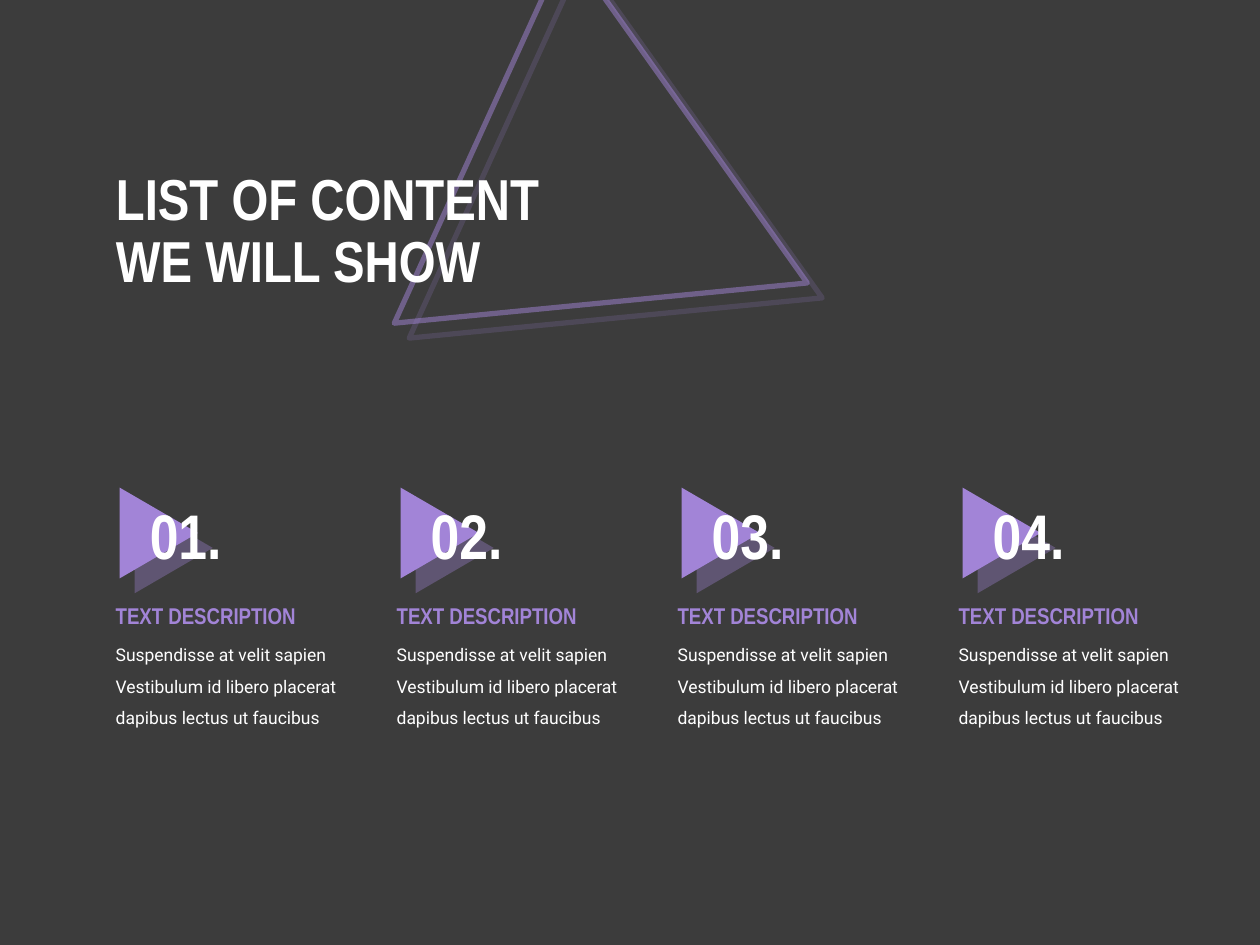
from lxml import etree
from pptx import Presentation
from pptx.dml.color import RGBColor
from pptx.enum.shapes import MSO_SHAPE
from pptx.enum.text import MSO_ANCHOR, MSO_AUTO_SIZE, PP_ALIGN
from pptx.oxml.ns import qn
from pptx.util import Inches, Pt

TRIANGLE = MSO_SHAPE.ISOSCELES_TRIANGLE
LEFT = PP_ALIGN.LEFT
MIDDLE, TOP = MSO_ANCHOR.MIDDLE, MSO_ANCHOR.TOP
GROW, NO_FIT = MSO_AUTO_SIZE.SHAPE_TO_FIT_TEXT, MSO_AUTO_SIZE.NONE

# Content
TITLE_LINES = ["LIST OF CONTENT", "WE WILL SHOW"]
DESCRIPTION = "Suspendisse at velit sapien Vestibulum id libero placerat dapibus lectus ut faucibus"
ITEMS = [
    ("01.", "TEXT DESCRIPTION", DESCRIPTION),
    ("02.", "TEXT DESCRIPTION", DESCRIPTION),
    ("03.", "TEXT DESCRIPTION", DESCRIPTION),
    ("04.", "TEXT DESCRIPTION", DESCRIPTION),
]

# Theme: colours and (font, size, bold, colour) for each kind of text
THEME = {
    "background": "3C3C3C",
    "accent": "A284D7",
    "title": ("Arial Narrow", 33, True, "FFFFFF"),
    "number": ("Arial Narrow", 36, True, "FFFFFF"),
    "heading": ("Arial Narrow", 13, True, "A284D7"),
    "body": ("Roboto", 10, False, "FFFFFF"),
}

# Layout
COLUMN_LEFT, COLUMN_PITCH = 0.82, 2.23


def color(name):
    return RGBColor.from_string(name)


def add_span(para, text, style):
    font_name, size, bold, font_color = THEME[style]
    span = para.add_run()
    span.text = text
    span.font.name = font_name
    span.font.size = Pt(size)
    span.font.bold = bold
    span.font.color.rgb = color(font_color)


def set_alpha(color_element, percent):
    etree.SubElement(color_element, qn("a:alpha"), val=str(percent * 1000))


def add_triangle(page, left, top, width, height, rotation):
    shape = page.shapes.add_shape(
        TRIANGLE, Inches(left), Inches(top), Inches(width), Inches(height))
    shape.rotation = rotation
    return shape


def add_offset_shadow(shape):
    shape.shadow.inherit = False
    effects = shape._element.spPr.find(qn("a:effectLst"))
    shadow = etree.SubElement(
        effects, qn("a:outerShdw"), blurRad="0", dist=str(Pt(12.1)),
        dir=str(45 * 60000), algn="tl", rotWithShape="0")
    set_alpha(etree.SubElement(shadow, qn("a:srgbClr"), val=THEME["accent"]), 35)


def add_text(page, left, top, width, height, text, style, spacing=1.0):
    box = page.shapes.add_textbox(
        Inches(left), Inches(top), Inches(width), Inches(height))
    frame = box.text_frame
    frame.word_wrap = True
    frame.auto_size = GROW
    frame.vertical_anchor = TOP
    para = frame.paragraphs[0]
    para.line_spacing = spacing
    add_span(para, text, style)


def add_outline_triangle(page):
    shape = add_triangle(page, 3.46, 0.23, 3.3, 2.85, 114.5)
    shape.fill.background()
    shape.line.width = Pt(3)
    shape.line.color.rgb = color(THEME["accent"])
    set_alpha(shape.line._ln.find(".//" + qn("a:srgbClr")), 50)
    add_offset_shadow(shape)


def add_title(page):
    title = page.shapes.title
    title.left, title.top = Inches(COLUMN_LEFT), Inches(1.06)
    title.width, title.height = Inches(4.22), Inches(1.58)
    frame = title.text_frame
    frame.word_wrap = True
    frame.auto_size = NO_FIT
    frame.vertical_anchor = MIDDLE
    para = frame.paragraphs[0]
    para.alignment = LEFT
    para.line_spacing = 0.9
    for index, line in enumerate(TITLE_LINES):
        if index:
            para.add_line_break()
        add_span(para, line, "title")
    # Keep the title in front of the outline triangle
    page.shapes._spTree.append(title._element)


def add_item(page, left, number, heading, description):
    marker = add_triangle(page, left + 0.08, 3.92, 0.72, 0.62, 90)
    marker.fill.solid()
    marker.fill.fore_color.rgb = color(THEME["accent"])
    marker.line.fill.background()
    add_offset_shadow(marker)
    add_text(page, left + 0.27, 3.89, 0.99, 0.7, number, "number")
    add_text(page, left, 4.98, 2.11, 0.85, description, "body", 1.5)
    add_text(page, left, 4.73, 1.84, 0.54, heading, "heading")


def main():
    deck = Presentation()
    deck.slide_width, deck.slide_height = Inches(10), Inches(7.5)
    page = deck.slides.add_slide(deck.slide_layouts[5])
    page.background.fill.solid()
    page.background.fill.fore_color.rgb = color(THEME["background"])

    add_outline_triangle(page)
    add_title(page)
    for column, item in enumerate(ITEMS):
        add_item(page, COLUMN_LEFT + column * COLUMN_PITCH, *item)

    deck.save("out.pptx")


if __name__ == "__main__":
    main()
